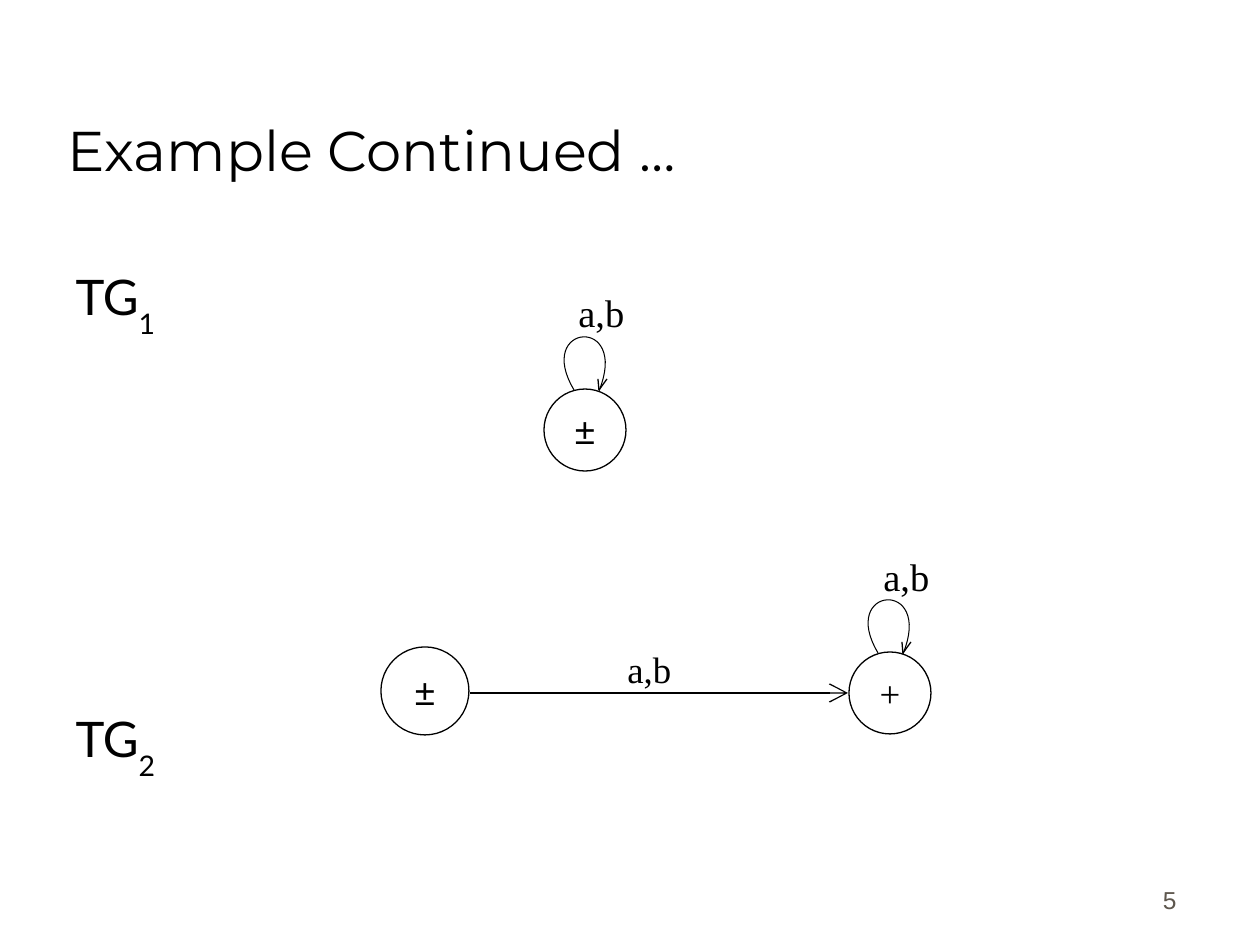
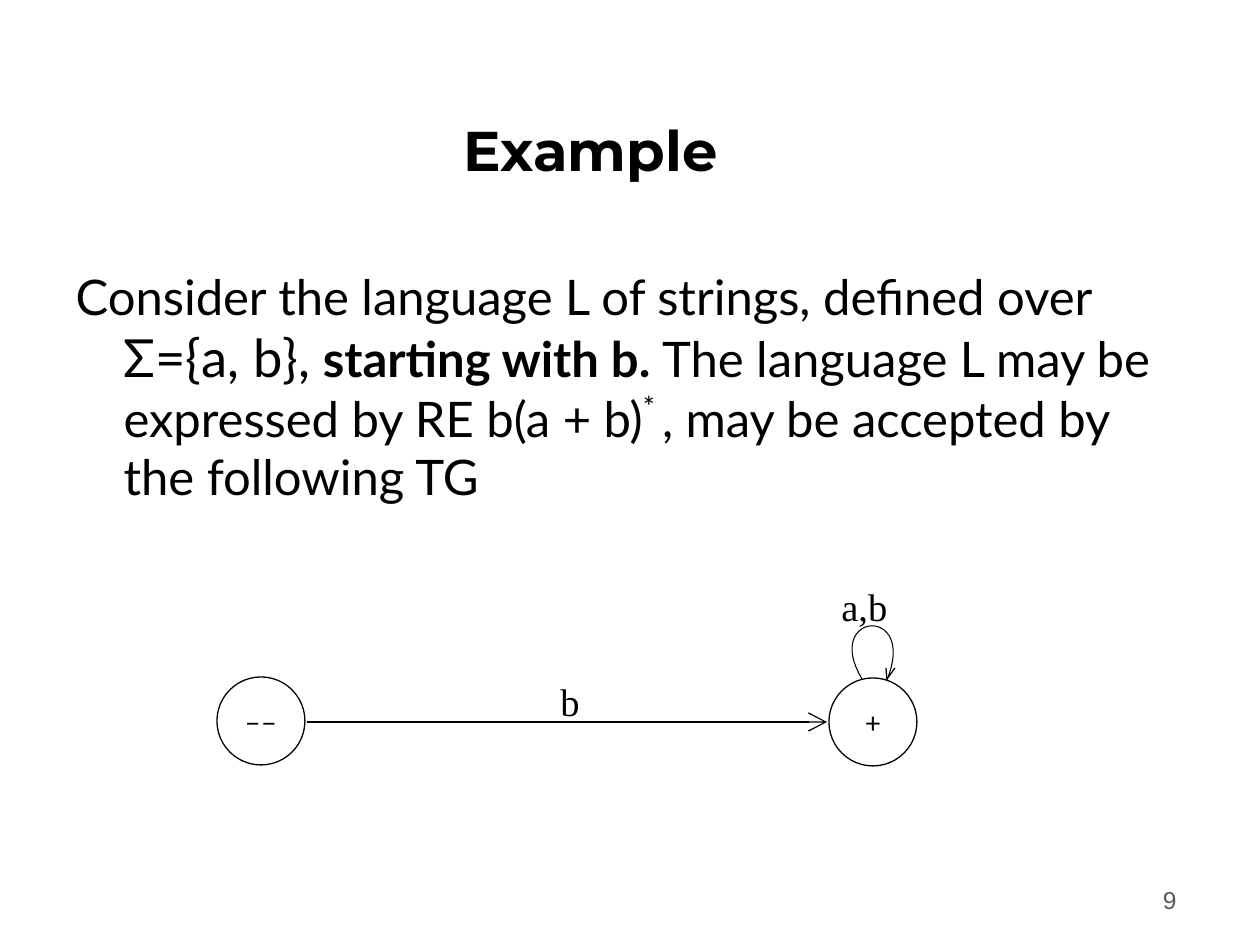
import pptx
import pptx.util
import pptx.dml.color
import pptx.enum.shapes
import pptx.enum.text
import pptx.oxml.ns
import lxml.etree

PIXEL = 914400 // 126
COLOURS = {"ink": "000000", "paper": "FFFFFF", "number": "5E574E"}
HEADING, BODY, SERIF, SANS = "Montserrat", "Lato", "Times New Roman", "Arial"
ALIGN = pptx.enum.text.PP_ALIGN
ANCHOR = pptx.enum.text.MSO_ANCHOR

TITLE_BOX = (55, 32, 1071, 157)
NUMBER_BOX = (927, 858, 262, 63)
HANGING = 48

# Self-loop, measured from the point where it leaves its state
LOOP_CURVE = [(0, 0), (-40, -67), (56, -75), (25, 1)]
LOOP_TIP = (25, 0)
LOOP_BARBS = [(33, -11), (24, -11)]

# Paragraph: (points before, runs); run: (text, format)
# State: (left, top, diameter, mark, font, size)
# Label: (left, top, width, height, text, size)
SLIDES = [
    {
        "title": "Example Continued …", "bold": False, "align": ALIGN.LEFT,
        "number": "5",
        "body_box": (63, 260, 1126, 575),
        "body": [
            (7, [("TG", {}), ("1", {"baseline": -40})]),
            (210, [("TG", {}), ("2", {"baseline": -40})]),
        ],
        "states": [(544, 389, 82, "±", SANS, 21),
                   (849, 652, 82, "+", SERIF, 21),
                   (381, 647, 88, "±", SANS, 21)],
        "loops": [(574, 390), (878, 653)],
        "arrow": (470, 848, 693),
        "labels": [(566, 283, 106, 71, "a,b", 22),
                   (871, 547, 106, 71, "a,b", 22),
                   (615, 641, 82, 48, "a,b", 21)],
    },
    {
        "title": "Example", "bold": True, "align": ALIGN.CENTER,
        "number": "9",
        "body_box": (63, 260, 1126, 265),
        "body": [
            (7, [("Consider the language L of strings, defined over ", {}),
                 ("Σ={a, b},", {"size": 30}),
                 (" ", {}),
                 ("starting with b. ", {"bold": True}),
                 ("The language L may be expressed by RE b(a + b)", {}),
                 ("* ", {"baseline": 40}),
                 (", may be accepted by the following TG", {})]),
        ],
        "states": [(217, 677, 88, "––", BODY, 16),
                   (829, 678, 88, "+", BODY, 16)],
        "loops": [(862, 679)],
        "arrow": (307, 827, 722),
        "labels": [(548, 672, 173, 64, "b", 22),
                   (829, 577, 173, 64, "a,b", 22)],
    },
]


def px(*lengths):
    """Turn picture pixels into EMU."""
    return [round(length * PIXEL) for length in lengths]


def colour(name):
    """Look up a named colour."""
    return pptx.dml.color.RGBColor.from_string(COLOURS[name])


def set_font(font, face, size, ink="ink", bold=False):
    """Give a font its face, size, colour and weight."""
    font.name, font.size, font.bold = face, pptx.util.Pt(size), bold
    font.color.rgb = colour(ink)


def place(shape, bounds):
    """Move and size a shape."""
    shape.left, shape.top, shape.width, shape.height = px(*bounds)


def write(shape, text, face, size, align=ALIGN.LEFT, anchor=ANCHOR.TOP,
          ink="ink", bold=False):
    """Write one evenly formatted paragraph into a shape."""
    frame = shape.text_frame
    frame.word_wrap = True
    frame.auto_size = pptx.enum.text.MSO_AUTO_SIZE.NONE
    frame.vertical_anchor = anchor
    para = frame.paragraphs[0]
    para.text, para.alignment = text, align
    set_font(para.font, face, size, ink, bold)


def fill_body(body, paragraphs):
    """Write unbulleted paragraphs with a hanging indent."""
    frame = body.text_frame
    frame.auto_size = pptx.enum.text.MSO_AUTO_SIZE.NONE
    for index, (before, runs) in enumerate(paragraphs):
        para = frame.add_paragraph() if index else frame.paragraphs[0]
        properties = para._p.get_or_add_pPr()
        properties.set("marL", str(px(HANGING)[0]))
        properties.set("indent", str(px(-HANGING)[0]))
        lxml.etree.SubElement(properties, pptx.oxml.ns.qn("a:buNone"))
        para.space_before = pptx.util.Pt(before)
        for text, style in runs:
            span = para.add_run()
            span.text = text
            set_font(span.font, BODY, style.get("size", 28),
                     bold=style.get("bold", False))
            if "baseline" in style:
                span._r.get_or_add_rPr().set(
                    "baseline", str(style["baseline"] * 1000))


def draw_line(line, width=0.74):
    """Give a line the diagram's ink and a width."""
    line.color.rgb = colour("ink")
    line.width = pptx.util.Pt(width)


def add_label(page, bounds, text, size):
    """Add a transition label."""
    box = page.shapes.add_textbox(*px(*bounds))
    write(box, text, SERIF, size)


def add_state(page, left, top, diameter, mark, face, size):
    """Add a round state with its mark in the middle."""
    state = page.shapes.add_shape(pptx.enum.shapes.MSO_SHAPE.OVAL,
                                  *px(left, top, diameter, diameter))
    state.shadow.inherit = False
    state.fill.solid()
    state.fill.fore_color.rgb = colour("paper")
    draw_line(state.line)
    write(state, mark, face, size, ALIGN.CENTER, ANCHOR.MIDDLE)


def add_arrow(page, start, end, height):
    """Add a level transition arrow."""
    arrow = page.shapes.add_connector(pptx.enum.shapes.MSO_CONNECTOR.STRAIGHT,
                                      *px(start, height, end, height))
    draw_line(arrow.line)
    lxml.etree.SubElement(arrow.line._get_or_add_ln(),
                          pptx.oxml.ns.qn("a:tailEnd"),
                          type="arrow", w="lg", len="lg")
    lxml.etree.SubElement(arrow._element.spPr, pptx.oxml.ns.qn("a:effectLst"))


def add_stroke(page, points, width=0.74):
    """Add an open outline through pixel points."""
    first, *rest = [tuple(px(*point)) for point in points]
    builder = page.shapes.build_freeform(*first)
    builder.add_line_segments(rest, close=False)
    stroke = builder.convert_to_shape()
    stroke.shadow.inherit = False
    stroke.fill.background()
    draw_line(stroke.line, width)


def curve_points(controls, steps=32):
    """Sample a cubic curve evenly in its parameter."""
    points = []
    for step in range(steps + 1):
        t = step / steps
        weights = ((1 - t) ** 3, 3 * t * (1 - t) ** 2,
                   3 * t ** 2 * (1 - t), t ** 3)
        points.append(tuple(sum(w * c for w, c in zip(weights, axis))
                            for axis in zip(*controls)))
    return points


def add_loop(page, left, top):
    """Add a self-loop with its open arrowhead."""
    def shift(points):
        """Move points to this loop's start."""
        return [(left + x, top + y) for x, y in points]

    add_stroke(page, shift(curve_points(LOOP_CURVE)), 0.6)
    for barb in LOOP_BARBS:
        add_stroke(page, shift([barb, LOOP_TIP]))


def add_page(deck, content):
    """Build one slide from its content."""
    page = deck.slides.add_slide(deck.slide_layouts[1])
    title, body = page.shapes.title, page.placeholders[1]
    place(title, TITLE_BOX)
    write(title, content["title"], HEADING, 32, content["align"],
          ANCHOR.BOTTOM, bold=content["bold"])
    place(body, content["body_box"])
    fill_body(body, content["body"])
    number = page.shapes.add_textbox(*px(*NUMBER_BOX))
    write(number, content["number"], SANS, 14, ALIGN.RIGHT, ANCHOR.BOTTOM,
          "number")
    for state in content["states"]:
        add_state(page, *state)
    add_arrow(page, *content["arrow"])
    for loop in content["loops"]:
        add_loop(page, *loop)
    for *bounds, text, size in content["labels"]:
        add_label(page, bounds, text, size)


deck = pptx.Presentation()
deck.slide_width, deck.slide_height = px(1260, 945)
for content in SLIDES:
    add_page(deck, content)
deck.save("out.pptx")
